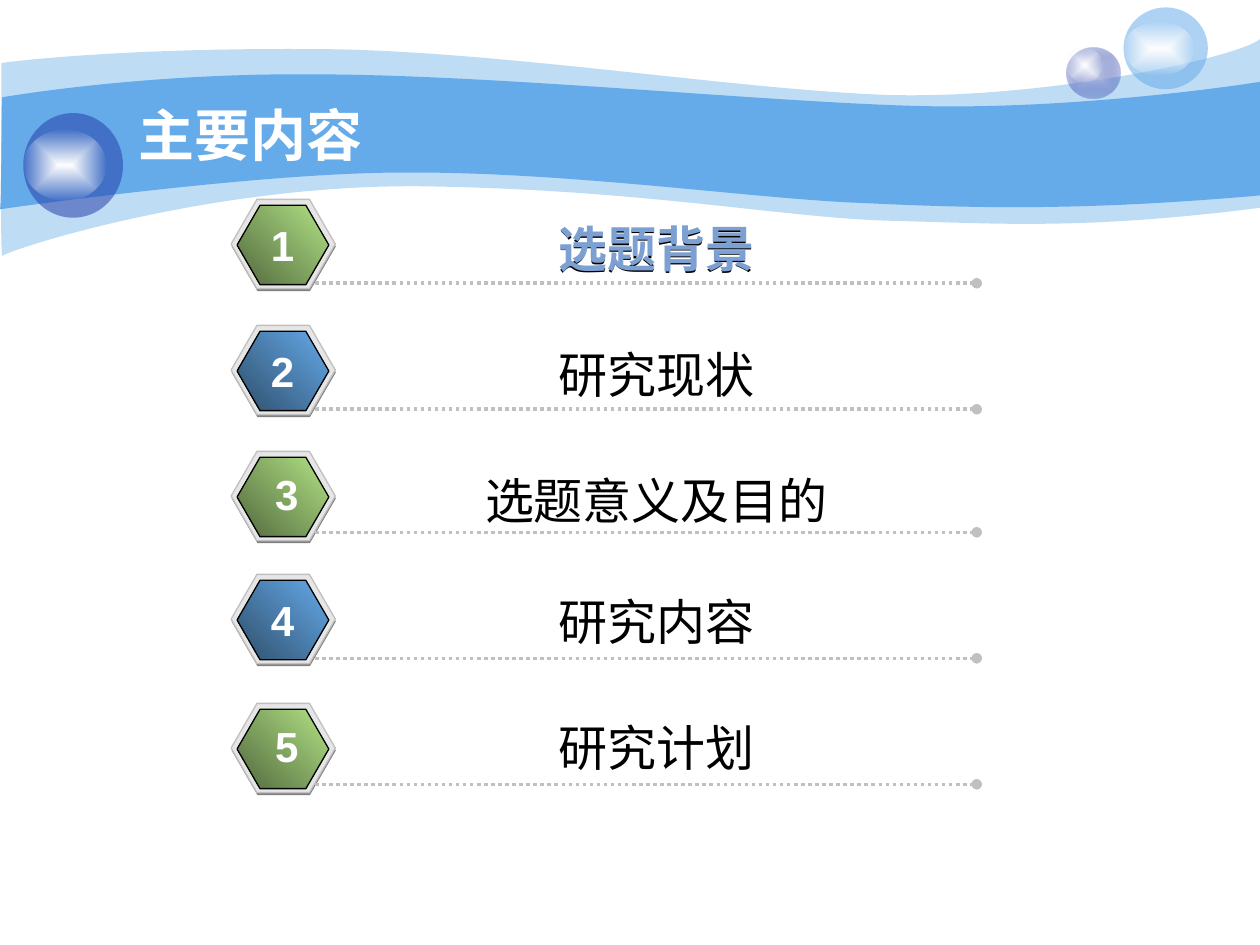
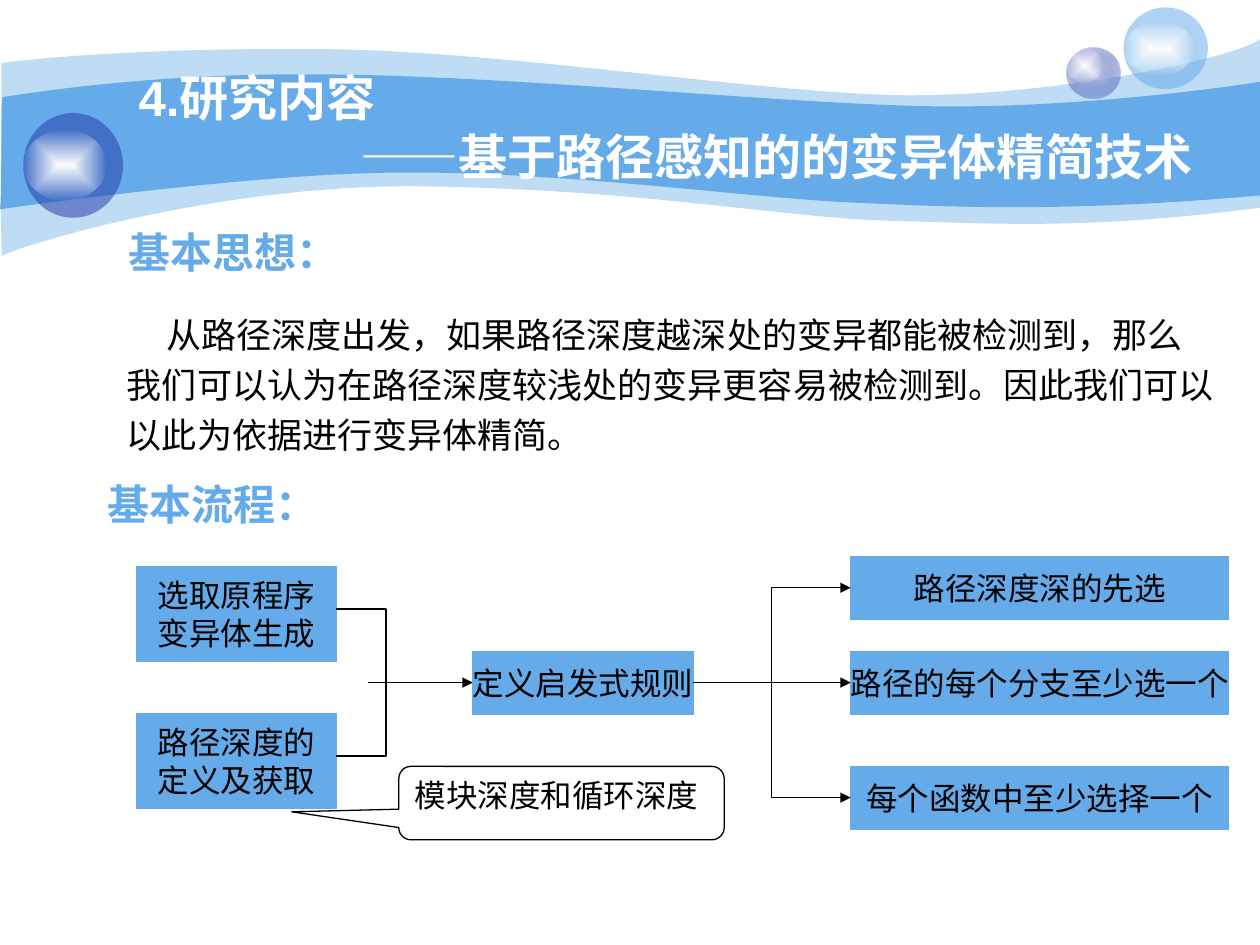
"""Build an agenda slide and a research-method slide on a shared wave background."""
from dataclasses import dataclass

from pptx import Presentation
from pptx import util as u
from pptx.dml.color import RGBColor
from pptx.enum import dml, shapes, text
from pptx.oxml import parse_xml
from pptx.oxml.ns import nsdecls, qn


@dataclass(frozen=True)
class Theme:
    font: str = "Arial"
    blue: str = "65AAE9"
    dark_blue: str = "2F4F6C"
    navy: str = "233DA9"
    lilac: str = "C7CEE9"
    accent_text: str = "7DA0D3"
    green: str = "B2E385"
    dark_green: str = "52693E"
    white: str = "FFFFFF"
    black: str = "000000"
    rim: str = "E6E6E6"
    silver: str = "C0C0C0"
    gray: str = "808080"
    title: int = 32
    label: int = 28
    heading: int = 24
    body: int = 20
    box: int = 18
    hairline: float = 0.75
    dotted: float = 2


THEME = Theme()
CENTER, LEFT = text.PP_ALIGN.CENTER, text.PP_ALIGN.LEFT
SHAPE = shapes.MSO_SHAPE

PALE_WAVE = [
    (0.03, 1.27),
    (0.64, 1.19, 2.74, 0.97, 6.27, 0.99),
    (9.8, 0.99, 14.63, 1.78, 17.75, 1.91),
    (20.88, 2.03, 24.89, 1.19, 25.4, 0.79),
    (25.4, 4.19),
    (21.79, 4.65, 20.02, 4.5, 17.91, 4.45),
    (15.8, 4.39, 13.08, 3.84, 8.74, 3.76),
    (4.37, 3.66, 0.13, 5.05, 0.05, 5.16),
    (0, 5.28, 0.03, 1.91, 0.03, 1.27),
]
BLUE_WAVE = [
    (0.05, 1.96),
    (0.08, 1.96, 2.82, 1.47, 6.32, 1.5),
    (9.83, 1.5, 15.14, 2.03, 18.26, 2.13),
    (21.36, 2.24, 24.79, 1.75, 25.4, 1.65),
    (25.4, 3.94),
    (21.67, 4.27, 19.46, 4.19, 17.32, 4.09),
    (15.21, 4.01, 11.38, 3.45, 8.08, 3.48),
    (5.18, 3.48, -0.03, 4.22, 0, 4.22),
    (0.03, 4.22, 0.03, 1.96, 0.05, 1.96),
]
GLOW = [(THEME.white, 100), (THEME.white, 0)]
BUBBLES = [
    [((21.51, 0.97, 1.07, 1.02), [(THEME.lilac, 100), (THEME.navy, 31)]),
     ((21.51, 0.97, 0.71, 0.69), GLOW)],
    [((22.65, 0.15, 1.7, 1.65), [(THEME.blue, 53)]),
     ((22.65, 0.43, 1.42, 1.09), GLOW)],
    [((0.47, 2.28, 2.01, 2.11), [(THEME.navy, 53)]),
     ((0.47, 2.62, 1.68, 1.42), GLOW)],
]

AGENDA_TITLE = [("主要内容", 0)]
AGENDA = [
    {"label": "选题背景", "badge": 4.02, "text": 4.28, "rule": 5.71, "number": 5.21},
    {"label": "研究现状", "badge": 6.56, "text": 6.82, "rule": 8.25, "number": 5.21},
    {"label": "选题意义及目的", "badge": 9.1, "text": 9.36, "rule": 10.73, "number": 5.3},
    {"label": "研究内容", "badge": 11.58, "text": 11.79, "rule": 13.27, "number": 5.21},
    {"label": "研究计划", "badge": 14.18, "text": 14.33, "rule": 15.81, "number": 5.3},
]

METHOD_TITLE = [("4.研究内容\v——基于路径感知的的变异体精简技术", -4.48)]
HEADINGS = [("基本思想：", 2.34, 4.45), ("基本流程：", 1.91, 9.53)]
IDEA = [
    ("从路径深度出发，如果路径深度越深处的变异都能被检测到，那么", 0.79),
    ("我们可以认为在路径深度较浅处的变异更容易被检测到。因此我们可以", 0),
    ("以此为依据进行变异体精简。", 0),
]
INPUTS = [(["选取原程序", "变异体生成"], 11.42), (["路径深度的", "定义及获取"], 14.39)]
RULE_STEP = "定义启发式规则"
RULES = [("路径深度深的先选", 11.22), ("路径的每个分支至少选一个", 13.13),
         ("每个函数中至少选择一个", 15.45)]
DEPTH_NOTE = "模块深度和循环深度"


def lengths(*values):
    return [u.Cm(value) for value in values]


def paint(shape, stops, angle=None):
    """Fill with one colour or a gradient of (colour, opacity) stops."""
    shape.fill.solid()
    colours = []
    for colour, opacity in stops:
        alpha = f'<a:alpha val="{opacity * 1000}"/>' if opacity < 100 else ""
        colours.append(f'<a:srgbClr val="{colour}">{alpha}</a:srgbClr>')
    if len(stops) == 1:
        xml = f'<a:solidFill {nsdecls("a")}>{colours[0]}</a:solidFill>'
    else:
        marks = "".join(f'<a:gs pos="{position}">{colour}</a:gs>'
                        for position, colour in zip((0, 100000), colours))
        direction = (f'<a:lin ang="{angle * 60000}" scaled="1"/>' if angle is not None else
                     '<a:path path="rect"><a:fillToRect l="50000" t="50000" r="50000" b="50000"/></a:path>')
        xml = f'<a:gradFill {nsdecls("a")} rotWithShape="1"><a:gsLst>{marks}</a:gsLst>{direction}</a:gradFill>'
    properties = shape.element.spPr
    properties.replace(properties.find(qn("a:solidFill")), parse_xml(xml))


def finish(shape, stops=None, line=None, angle=None):
    """Remove the shadow and set fill and outline."""
    shape.shadow.inherit = False
    if stops:
        paint(shape, stops, angle)
    else:
        shape.fill.background()
    if line:
        shape.line.color.rgb = RGBColor.from_string(line)
        shape.line.width = u.Pt(THEME.hairline)
    else:
        shape.line.fill.background()
    return shape


def add_shape(parent, kind, place, stops=None, line=None, angle=None):
    return finish(parent.shapes.add_shape(kind, *lengths(*place)), stops, line, angle)


def write(shape, lines, size, colour, bold=False, align=LEFT, wrap=True,
          anchor=text.MSO_ANCHOR.TOP, spacing=None):
    """Write (text, first-line indent) pairs; a negative indent hangs."""
    frame = shape.text_frame
    frame.auto_size = text.MSO_AUTO_SIZE.NONE
    frame.word_wrap = wrap
    frame.vertical_anchor = anchor
    for index, (words, indent) in enumerate(lines):
        paragraph = frame.add_paragraph() if index else frame.paragraphs[0]
        paragraph.text = words
        paragraph.alignment = align
        if indent:
            properties = paragraph._p.get_or_add_pPr()
            properties.set("marL", str(u.Cm(max(-indent, 0))))
            properties.set("indent", str(u.Cm(indent)))
        if spacing:
            paragraph.line_spacing = spacing
        paragraph.font.name = THEME.font
        paragraph.font.size = u.Pt(size)
        paragraph.font.bold = bold
        paragraph.font.color.rgb = RGBColor.from_string(colour)


def add_text(slide, place, lines, size, colour, **style):
    write(slide.shapes.add_textbox(*lengths(*place)), lines, size, colour, **style)


def add_line(slide, start, end, colour=THEME.black, width=THEME.hairline,
             elbow=None, dash=None, tail=None):
    """Add a straight or elbow connector; elbow is the bend as a share of its width."""
    kind = shapes.MSO_CONNECTOR.STRAIGHT if elbow is None else shapes.MSO_CONNECTOR.ELBOW
    connector = slide.shapes.add_connector(kind, *lengths(*start, *end))
    connector.line.color.rgb = RGBColor.from_string(colour)
    connector.line.width = u.Pt(width)
    if dash:
        connector.line.dash_style = dash
    properties = connector.element.spPr
    if tail:
        properties.find(qn("a:ln")).append(parse_xml(f'<a:tailEnd {nsdecls("a")} type="{tail}"/>'))
    if elbow is not None:
        guide = f'<a:gd {nsdecls("a")} name="adj1" fmla="val {round(elbow * 100000)}"/>'
        properties.find(qn("a:prstGeom")).get_or_add_avLst().append(parse_xml(guide))
    properties.append(parse_xml(f'<a:effectLst {nsdecls("a")}/>'))


def add_wave(slide, outline, opacity):
    """Add a closed outline whose six-number segments become cubic curves."""
    start, *others = [lengths(*segment[index:index + 2])
                      for segment in outline for index in range(0, len(segment), 2)]
    builder = slide.shapes.build_freeform(*start)
    builder.add_line_segments(others, close=False)
    wave = finish(builder.convert_to_shape(), [(THEME.blue, opacity)])
    segments = iter(list(wave.element.iter(qn("a:lnTo"))))
    for segment in outline[1:]:
        first = next(segments)
        if len(segment) == 6:
            curve = parse_xml(f'<a:cubicBezTo {nsdecls("a")}/>')
            first.addprevious(curve)
            for step in (first, next(segments), next(segments)):
                curve.append(step[0])
                step.getparent().remove(step)
            last = curve
        else:
            last = first
    last.addnext(parse_xml(f'<a:close {nsdecls("a")}/>'))
    return wave


def add_bubble(slide, discs):
    bubble = slide.shapes.add_group_shape()
    for place, stops in discs:
        add_shape(bubble, SHAPE.OVAL, place, stops)
    return bubble


def decorate(layout, slide):
    """Draw the waves and bubbles once and move them behind the layout's placeholders."""
    drawn = [add_wave(slide, PALE_WAVE, 41), add_wave(slide, BLUE_WAVE, 100)]
    drawn += [add_bubble(slide, discs) for discs in BUBBLES]
    for index, shape in enumerate(drawn):
        for offset, name in enumerate(shape.element.iter(qn("p:cNvPr"))):
            name.set("id", str(100 + 10 * index + offset))
        layout.shapes.element.insert(2 + index, shape.element)


def set_title(slide, place, lines, size):
    title = slide.shapes.title
    title.left, title.top, title.width, title.height = lengths(*place)
    write(title, lines, size, THEME.white, bold=True, anchor=text.MSO_ANCHOR.MIDDLE)


def add_badge(slide, top, colours):
    badge = slide.shapes.add_group_shape()
    layers = [
        ((4.67, top + 0.05, 2.1, 1.8), [(THEME.gray, 100)], None),
        ((4.66, top, 2.1, 1.8), [(THEME.rim, 100)], THEME.silver),
        ((4.78, top + 0.12, 1.85, 1.6), [(colour, 100) for colour in colours], THEME.black),
    ]
    for place, stops, line in layers:
        hexagon = add_shape(badge, SHAPE.HEXAGON, place, stops, line, angle=135)
        hexagon.adjustments[0] = 0.289


def fill_agenda(slide):
    set_title(slide, (2.54, 2.24, 20.52, 0.94), AGENDA_TITLE, THEME.title)
    badge_colours = [(THEME.green, THEME.dark_green), (THEME.blue, THEME.dark_blue)]
    for index, row in enumerate(AGENDA):
        label = [(row["label"], 0)]
        place = (6.98, row["text"], 12.5, 1.45)
        if index == 0:
            add_text(slide, (6.98, row["text"] + 0.04, 12.5, 1.45), label,
                     THEME.label, THEME.black, align=CENTER)
        add_badge(slide, row["badge"], badge_colours[index % 2])
        add_line(slide, (6.35, row["rule"]), (19.69, row["rule"]), THEME.silver, THEME.dotted,
                 dash=dml.MSO_LINE.ROUND_DOT, tail="oval")
        add_text(slide, place, label, THEME.label, THEME.black if index else THEME.accent_text,
                 bold=index == 0, align=CENTER)
        add_text(slide, (row["number"], row["rule"] - 1.41, 0.97, 1.27), [(str(index + 1), 0)],
                 THEME.heading, THEME.white, bold=True, align=CENTER, wrap=False)


def add_step(slide, place, lines):
    box = add_shape(slide, SHAPE.RECTANGLE, place, [(THEME.blue, 100)], THEME.blue)
    write(box, [(line, 0) for line in lines], THEME.box, THEME.black, align=CENTER,
          wrap=False, anchor=text.MSO_ANCHOR.MIDDLE)


def fill_method(slide):
    set_title(slide, (2.54, 2.12, 22.86, 0.85), METHOD_TITLE, THEME.label)
    for words, left, top in HEADINGS:
        add_text(slide, (left, top, 4.72, 1.27), [(words, 0)], THEME.heading, THEME.blue,
                 bold=True, wrap=False)
    add_text(slide, (2.31, 6.02, 22.43, 3.3), IDEA, THEME.body, THEME.black, wrap=False, spacing=1.2)

    middle = 13.76
    for lines, top in INPUTS:
        add_step(slide, (2.75, top, 4.03, 1.91), lines)
    add_line(slide, (6.77, 12.28), (6.78, 15.24), elbow=101)
    add_line(slide, (7.41, middle), (9.53, middle), tail="triangle")
    add_step(slide, (9.53, 13.13, 4.45, 1.27), [RULE_STEP])
    note = add_shape(slide, SHAPE.ROUNDED_RECTANGULAR_CALLOUT, (8.04, 15.45, 6.56, 1.48),
                     line=THEME.black)
    note.adjustments[0], note.adjustments[1] = -0.829, 0.119
    write(note, [(DEPTH_NOTE, 0)], THEME.box, THEME.black)
    for words, top in RULES:
        add_step(slide, (17.15, top, 7.62, 1.27), [words])
        target = round(top + 0.63, 2)
        add_line(slide, (13.97, middle), (17.15, target), tail="triangle",
                 elbow=None if target == middle else 0.5)


def main():
    presentation = Presentation()
    presentation.slide_width, presentation.slide_height = lengths(25.4, 19.05)
    layout = presentation.slide_layouts[5]
    agenda, method = [presentation.slides.add_slide(layout) for _ in range(2)]
    decorate(layout, agenda)
    fill_agenda(agenda)
    fill_method(method)
    presentation.save("out.pptx")


if __name__ == "__main__":
    main()
